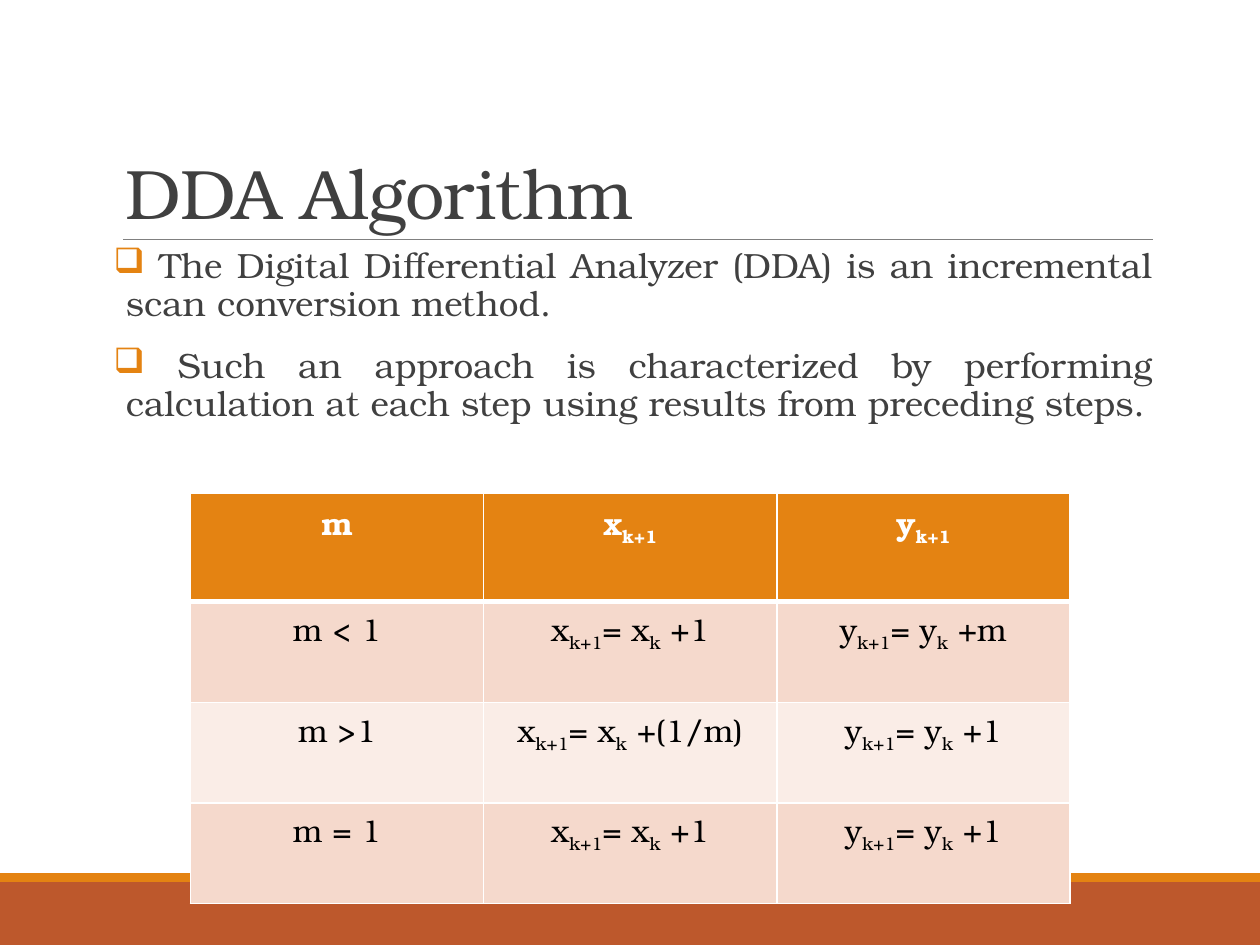
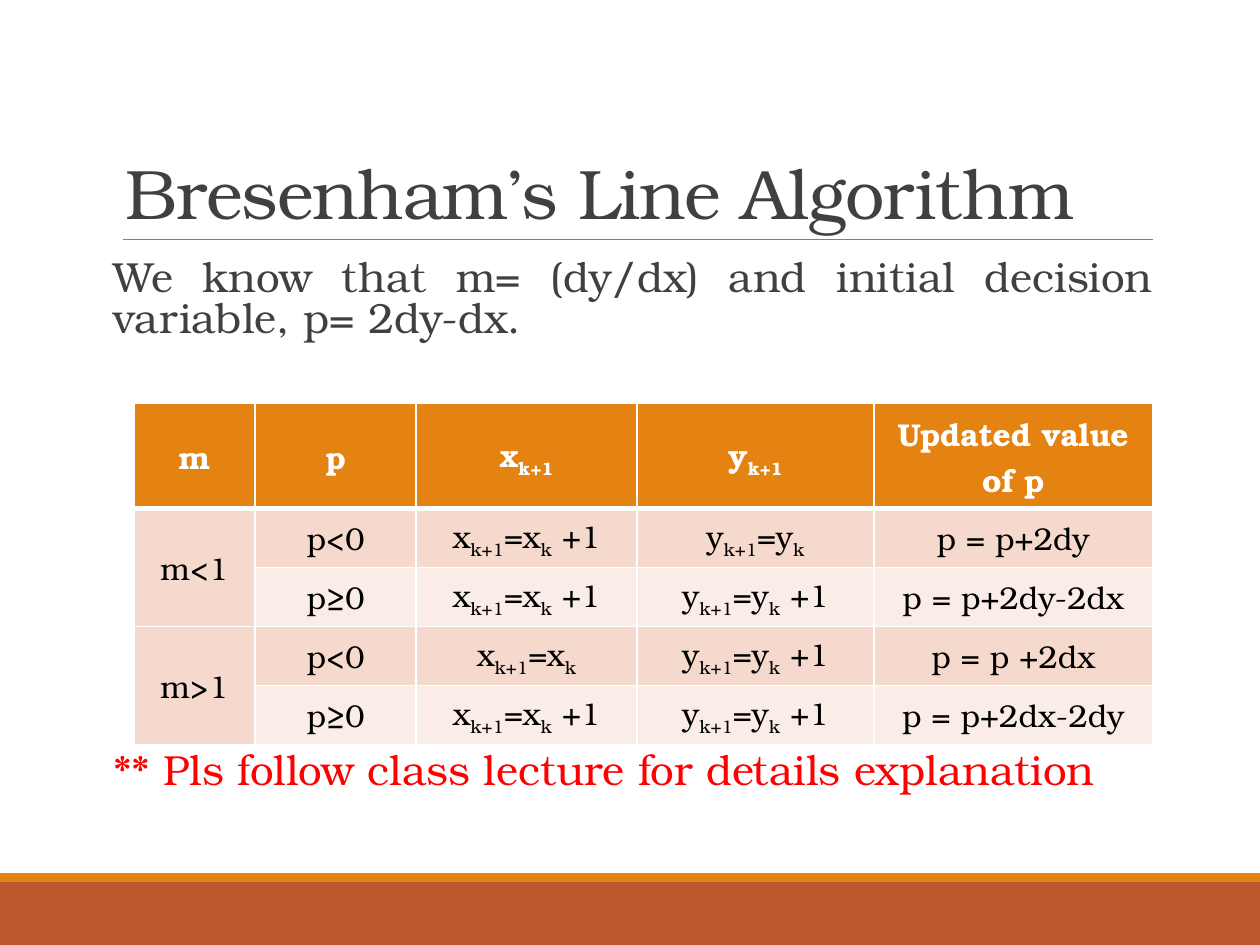
from lxml.etree import SubElement
from pptx import Presentation
from pptx.dml.color import RGBColor
from pptx.enum.shapes import MSO_CONNECTOR as Connector, MSO_SHAPE as Shape
from pptx.enum.text import MSO_ANCHOR as Anchor, PP_ALIGN as Align
from pptx.oxml import parse_xml
from pptx.oxml.ns import nsdecls, qn
from pptx.util import Cm, Pt

FONT = "TeX Gyre Bonum"
COLORS = {
    "band": "BD582C",
    "accent": "E48312",
    "rule": "808080",
    "text": "404040",
    "cell": "000000",
    "white": "FFFFFF",
    "odd_row": "F5D9CC",
    "even_row": "FAEDE7",
    "warning": "FF0000",
}
PAGE_WIDTH, PAGE_HEIGHT = 25.4, 19.05
TEXT_LEFT, TEXT_WIDTH = 2.29, 20.95


def color(name):
    return RGBColor.from_string(COLORS[name])


class LectureDeck:
    """Holds the shared style and the page being filled; lengths are in cm."""

    def __init__(self):
        self.deck = Presentation()
        self.deck.slide_width = Cm(PAGE_WIDTH)
        self.deck.slide_height = Cm(PAGE_HEIGHT)
        self.page = None

    def new_page(self, title):
        self.page = self.deck.slides.add_slide(self.deck.slide_layouts[6])
        self.band(17.78, 1.27, "band")
        self.band(17.6, 0.18, "accent")
        self.rule(2.48, 23.24, 4.83)
        self.title(title)

    def band(self, top, height, fill):
        box = self.page.shapes.add_shape(
            Shape.RECTANGLE, 0, Cm(top), Cm(PAGE_WIDTH), Cm(height))
        box.shadow.inherit = False
        box.fill.solid()
        box.fill.fore_color.rgb = color(fill)
        box.line.fill.background()

    def rule(self, left, right, top):
        line = self.page.shapes.add_connector(
            Connector.STRAIGHT, Cm(left), Cm(top), Cm(right), Cm(top))
        line.line.color.rgb = color("rule")
        line.line.width = Pt(0.5)
        SubElement(line._element.spPr, qn("a:effectLst"))

    def style(self, span, size, ink, bold=False):
        span.font.name = FONT
        span.font.size = Pt(size)
        span.font.bold = bold
        span.font.color.rgb = color(ink)

    def text_box(self, top, height):
        box = self.page.shapes.add_textbox(
            Cm(TEXT_LEFT), Cm(top), Cm(TEXT_WIDTH), Cm(height))
        box.text_frame.word_wrap = True
        return box.text_frame

    def title(self, text):
        frame = self.text_box(0.79, 4.04)
        frame.vertical_anchor = Anchor.BOTTOM
        frame.text = text
        para = frame.paragraphs[0]
        para.line_spacing = 0.85
        span = para.runs[0]
        self.style(span, 40, "text")
        span.font._element.set("spc", "-50")

    def body(self, top, height, lines, size, spacing, ink="text", bullets=False):
        frame = self.text_box(top, height)
        frame.margin_left = frame.margin_right = 0
        frame.text = "\n".join(lines)
        for index, para in enumerate(frame.paragraphs):
            para.alignment = Align.JUSTIFY
            para.line_spacing = spacing
            para.space_before = Pt(12 if index else 0)
            para.space_after = Pt(2)
            if bullets:
                self.bullet(para)
            self.style(para.runs[0], size, ink)

    def bullet(self, para):
        properties = para._p.get_or_add_pPr()
        properties.set("marL", str(Cm(0.25)))
        properties.set("indent", str(-Cm(0.25)))
        paint = SubElement(properties, qn("a:buClr"))
        SubElement(paint, qn("a:srgbClr")).set("val", COLORS["accent"])
        SubElement(properties, qn("a:buChar")).set("char", "❑")

    def table(self, left, top, widths, heights, rows, anchor, merges=()):
        """Draws a table; text in [brackets] becomes subscript."""
        table = self.page.shapes.add_table(
            len(rows), len(widths), Cm(left), Cm(top),
            Cm(sum(widths)), Cm(sum(heights))).table
        for column, width in zip(table.columns, widths):
            column.width = Cm(width)
        for number, (row, height, texts) in enumerate(zip(table.rows, heights, rows)):
            row.height = Cm(height)
            for cell, text in zip(row.cells, texts):
                self.cell(cell, text, number, anchor)
        for first, last in merges:
            table.cell(*first).merge(table.cell(*last))

    def cell(self, cell, text, row, anchor):
        header = row == 0
        fill = "accent" if header else "odd_row" if row % 2 else "even_row"
        cell.fill.solid()
        cell.fill.fore_color.rgb = color(fill)
        cell.vertical_anchor = anchor
        para = cell.text_frame.paragraphs[0]
        para.alignment = Align.CENTER
        for index, part in enumerate(text.replace("]", "[").split("[")):
            if part:
                span = para.add_run()
                span.text = part
                self.style(span, 18, "white" if header else "cell", header)
                if index % 2:
                    span.font._element.set("baseline", "-25000")
        self.borders(cell, top=3 if row == 1 else 1, bottom=3 if header else 1)

    def borders(self, cell, top, bottom):
        sides = {"L": 1, "R": 1, "T": top, "B": bottom}
        for index, (side, width) in enumerate(sides.items()):
            cell._tc.get_or_add_tcPr().insert(index, parse_xml(
                f'<a:ln{side} {nsdecls("a")} w="{Pt(width)}"><a:solidFill>'
                f'<a:srgbClr val="{COLORS["white"]}"/></a:solidFill></a:ln{side}>'))


def main():
    lecture = LectureDeck()

    lecture.new_page("DDA Algorithm")
    lecture.body(4.88, 4.4, [
        " The Digital Differential Analyzer (DDA) is an incremental scan "
        "conversion method.",
        " Such an approach is characterized by performing calculation at each "
        "step using results from preceding steps.",
    ], size=20, spacing=0.9, bullets=True)
    lecture.table(3.84, 9.94, [5.91] * 3, [2.19] + [2.03] * 3, [
        ["m", "x[k+1]", "y[k+1]"],
        ["m < 1", "x[k+1]= x[k] +1", "y[k+1]= y[k] +m"],
        ["m >1", "x[k+1]= x[k] +(1/m)", "y[k+1]= y[k] +1"],
        ["m = 1", "x[k+1]= x[k] +1", "y[k+1]= y[k] +1"],
    ], Anchor.TOP)

    lecture.new_page("Bresenham’s Line Algorithm")
    lecture.body(5.13, 2.2, [
        "We know that m= (dy/dx) and initial decision variable, p= 2dy-dx.",
    ], size=24, spacing=0.8)
    same_x, next_x = "x[k+1]=x[k]", "x[k+1]=x[k] +1"
    same_y, next_y = "y[k+1]=y[k]", "y[k+1]=y[k] +1"
    lecture.table(2.7, 8.13, [2.44, 3.25, 4.45, 4.78, 5.61], [2.12] + [1.19] * 4, [
        ["m", "p", "x[k+1]", "y[k+1]", "Updated value of p"],
        ["m<1", "p<0", next_x, same_y, "p = p+2dy"],
        ["", "p≥0", next_x, next_y, "p = p+2dy-2dx"],
        ["m>1", "p<0", same_x, next_y, "p = p +2dx"],
        ["", "p≥0", next_x, next_y, "p = p+2dx-2dy"],
    ], Anchor.MIDDLE, merges=[((1, 0), (2, 0)), ((3, 0), (4, 0))])
    lecture.body(15.07, 1.2, ["** Pls follow class lecture for details explanation"],
                 size=24, spacing=0.8, ink="warning")

    lecture.deck.save("out.pptx")


if __name__ == "__main__":
    main()
